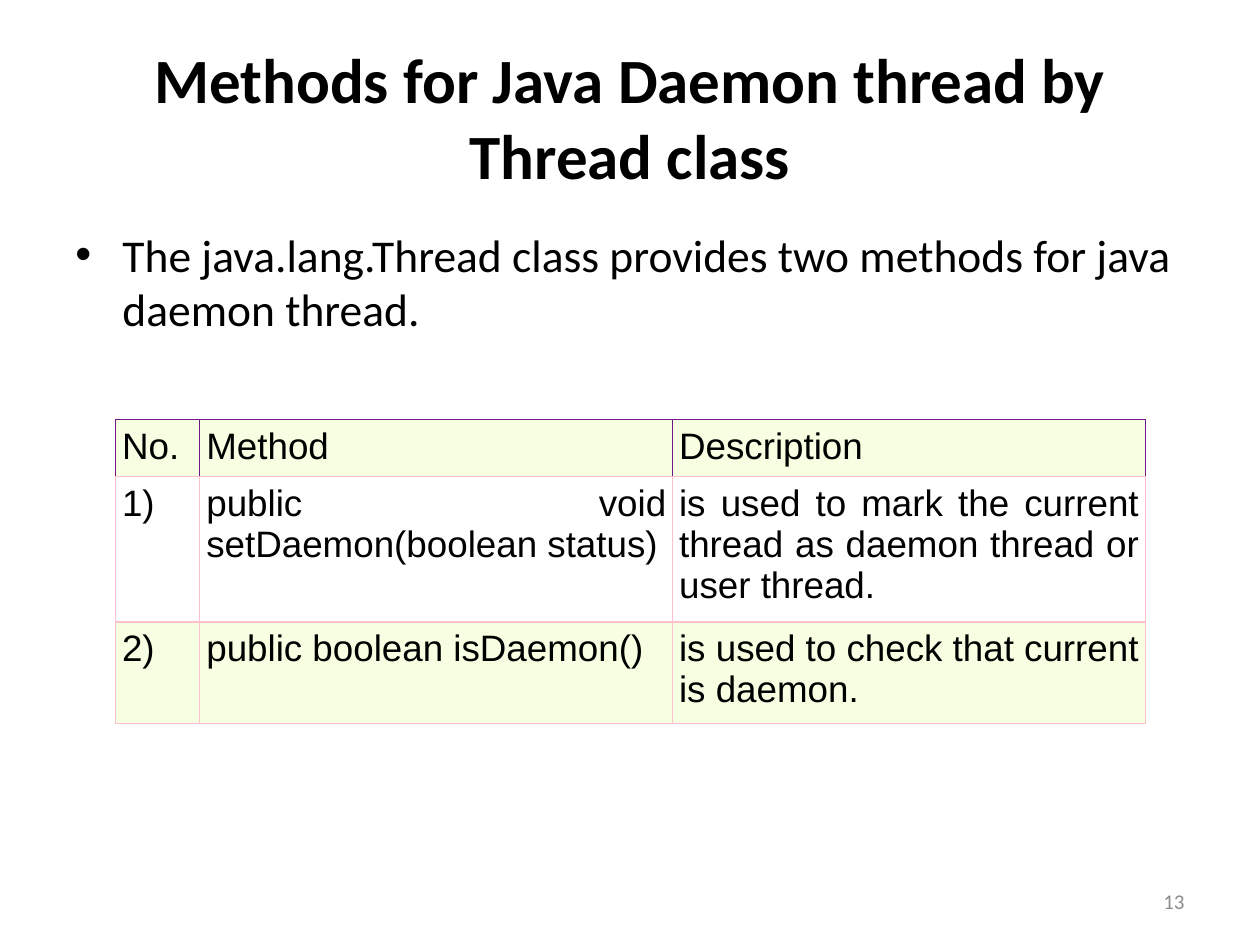
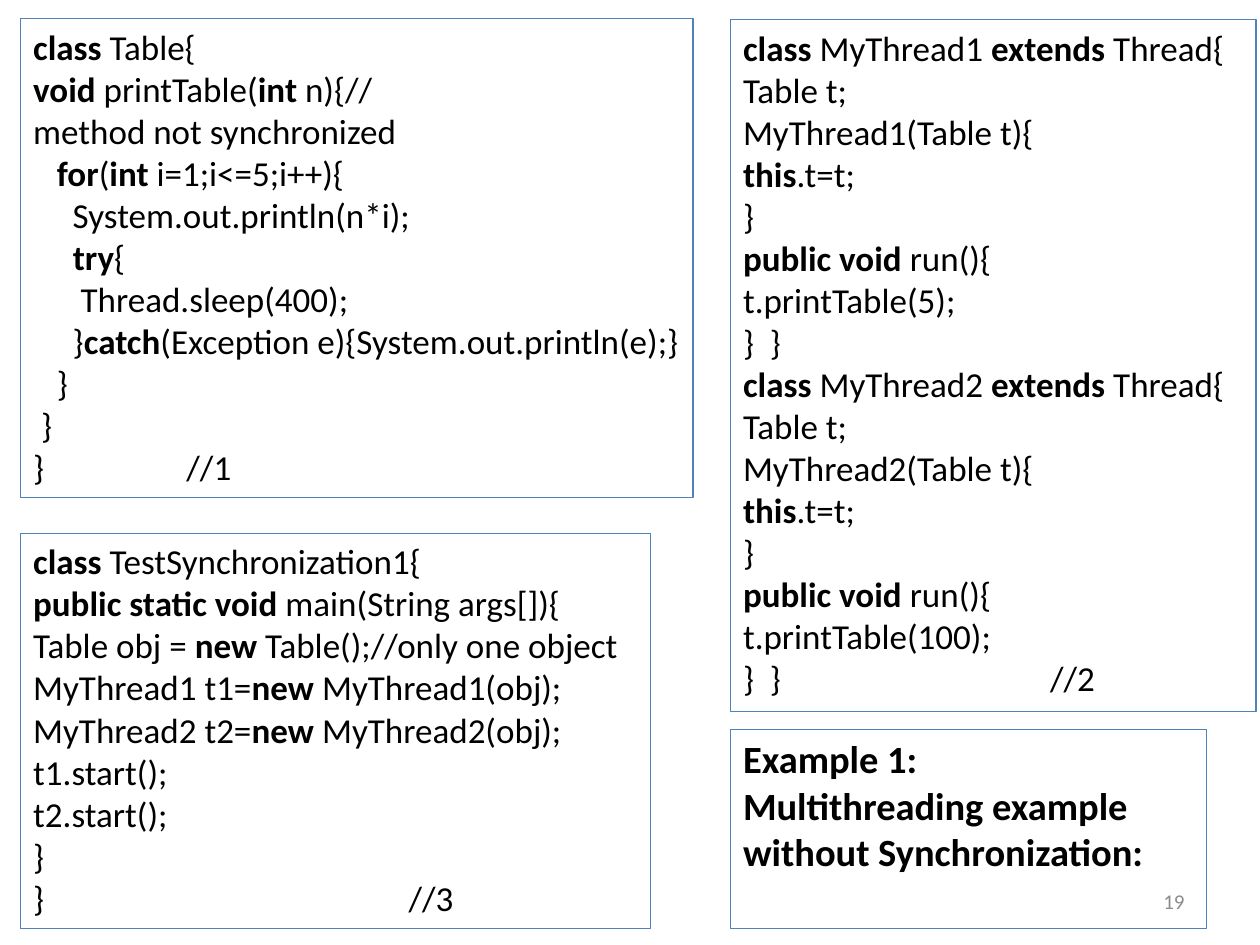
from dataclasses import dataclass, field
from typing import NamedTuple

from lxml.etree import SubElement
from pptx import Presentation
from pptx.dml.color import RGBColor
from pptx.enum.shapes import MSO_SHAPE
from pptx.enum.text import MSO_ANCHOR, PP_ALIGN
from pptx.oxml.ns import qn
from pptx.slide import Slide
from pptx.text.text import TextFrame, _Paragraph
from pptx.util import Cm, Pt


@dataclass(frozen=True)
class Theme:
    font: str = "Calibri"
    table_font: str = "Arial"
    ink: str = "000000"
    number_ink: str = "8C8C8C"
    panel_line: str = "4F81BD"
    header_line: str = "70168B"
    cell_line: str = "FFC0CB"
    tint: str = "F6FFE1"
    paper: str = "FFFFFF"
    title: int = 36
    body: int = 26
    table: int = 21
    caption: int = 22
    code: int = 20
    number: int = 12
    hairline: float = 0.75


class Box(NamedTuple):
    left: float
    top: float
    width: float
    height: float

    def lengths(self) -> tuple[Cm, ...]:
        return tuple(Cm(v) for v in self)


@dataclass(frozen=True)
class CodePanel:
    box: Box
    tab: float
    lines: list[str] = field(default_factory=list)


T = Theme()
NBSP = chr(160)
TITLE_BOX = Box(1.27, 0.76, 22.86, 3.18)
BODY_BOX = Box(1.27, 4.45, 22.86, 12.57)
NUMBER_BOX = Box(18.21, 17.65, 5.92, 1.02)
CAPTION_BOX = Box(14.73, 14.7, 9.6, 4.02)
TABLE_LEFT, TABLE_TOP = 2.33, 8.46
COLUMN_WIDTHS = [1.7, 9.53, 9.53]
ROW_HEIGHTS = [1.1, 2.74, 1.91]
CELL_INSET = Cm(0.13)
BULLET_INDENT = Cm(0.95)

METHODS = [
    ["No.", "Method", "Description"],
    ["1)", "public void setDaemon(boolean status)",
     "is used to mark the current thread as daemon thread or user thread."],
    ["2)", "public boolean isDaemon()", "is used to check that current is daemon."],
]


def thread_class(name: str, argument: int) -> list[str]:
    return [
        f"|class| {name} |extends| Thread{{",
        "Table t;",
        f"{name}(Table t){{",
        "|this|.t=t;",
        "}",
        "|public void| run(){",
        f"t.printTable({argument});",
        "}  }",
    ]


PANELS = [
    CodePanel(Box(14.73, 0.4, 10.59, 13.94), 6.19, [
        *thread_class("MyThread1", 5),
        *thread_class("MyThread2", 100)[:-1],
        "}  }\t//2",
    ]),
    CodePanel(Box(0.42, 10.76, 12.7, 7.96), 7.57, [
        "|class| TestSynchronization1{",
        "|public static void| main(String args[]){",
        "Table obj = |new| Table();//only one object",
        "MyThread1 t1=|new| MyThread1(obj);",
        "MyThread2 t2=|new| MyThread2(obj);",
        "t1.start();",
        "t2.start();",
        "}",
        "}\t//3",
    ]),
    CodePanel(Box(0.42, 0.38, 13.55, 9.65), 3.09, [
        "|class| Table{",
        "|void| printTable(|int| n){//method not synchronized",
        "   |for|(|int| i=1;i<=5;i++){",
        "     System.out.println(n*i);",
        "     |try|{",
        "      Thread.sleep(400);",
        "     }|catch|(Exception e){System.out.println(e);}",
        "   }",
        " }",
        "}\t//1",
    ]),
]


def add_run(p: _Paragraph, text: str, size: int, bold: bool = False,
            color: str = T.ink, font: str = T.font) -> None:
    r = p.add_run()
    r.text = text
    r.font.size = Pt(size)
    r.font.bold = bold
    r.font.name = font
    r.font.color.rgb = RGBColor.from_string(color)


def add_text(s: Slide, box: Box, text: str, size: int, bold: bool = False,
             color: str = T.ink, align: PP_ALIGN = PP_ALIGN.LEFT,
             anchor: MSO_ANCHOR = MSO_ANCHOR.MIDDLE) -> _Paragraph:
    tf = s.shapes.add_textbox(*box.lengths()).text_frame
    tf.word_wrap = True
    tf.vertical_anchor = anchor
    p = tf.paragraphs[0]
    p.alignment = align
    add_run(p, text, size, bold, color)
    return p


def add_slide_number(s: Slide, number: int) -> None:
    add_text(s, NUMBER_BOX, str(number), T.number, color=T.number_ink, align=PP_ALIGN.RIGHT)


def add_bullet(p: _Paragraph) -> None:
    pPr = p._p.get_or_add_pPr()
    pPr.set("marL", str(BULLET_INDENT))
    pPr.set("indent", str(-BULLET_INDENT))
    SubElement(pPr, qn("a:buFont"), typeface="Arial")
    SubElement(pPr, qn("a:buChar"), char="•")


def add_tab_stop(p: _Paragraph, position: float) -> None:
    tabs = SubElement(p._p.get_or_add_pPr(), qn("a:tabLst"))
    SubElement(tabs, qn("a:tab"), pos=str(Cm(position)), algn="l")


def add_panel(s: Slide, box: Box) -> TextFrame:
    sp = s.shapes.add_shape(MSO_SHAPE.RECTANGLE, *box.lengths())
    sp.shadow.inherit = False
    sp.fill.background()
    sp.line.color.rgb = RGBColor.from_string(T.panel_line)
    sp.line.width = Pt(T.hairline)
    tf = sp.text_frame
    tf.word_wrap = True
    tf.vertical_anchor = MSO_ANCHOR.TOP
    return tf


def next_paragraph(tf: TextFrame, index: int) -> _Paragraph:
    p = tf.add_paragraph() if index else tf.paragraphs[0]
    p.alignment = PP_ALIGN.LEFT
    return p


def add_code_panel(s: Slide, panel: CodePanel) -> None:
    tf = add_panel(s, panel.box)
    for i, line in enumerate(panel.lines):
        p = next_paragraph(tf, i)
        if "\t" in line:
            add_tab_stop(p, panel.tab)
        for j, part in enumerate(line.replace(" ", NBSP).split("|")):
            if part:
                add_run(p, part, T.code, bold=j % 2 == 1)


def add_caption(s: Slide, lines: list[str]) -> None:
    tf = add_panel(s, CAPTION_BOX)
    for i, line in enumerate(lines):
        add_run(next_paragraph(tf, i), line, T.caption, bold=True)


def set_borders(tcPr, is_header: bool) -> None:
    for side in "LRTB":
        color = T.header_line if is_header and side != "B" else T.cell_line
        ln = SubElement(tcPr, qn(f"a:ln{side}"), w=str(Pt(T.hairline)))
        SubElement(SubElement(ln, qn("a:solidFill")), qn("a:srgbClr"), val=color)


def add_methods_table(s: Slide) -> None:
    box = Box(TABLE_LEFT, TABLE_TOP, sum(COLUMN_WIDTHS), sum(ROW_HEIGHTS))
    table = s.shapes.add_table(len(METHODS), len(COLUMN_WIDTHS), *box.lengths()).table
    table.first_row = table.horz_banding = False
    for column, width in zip(table.columns, COLUMN_WIDTHS):
        column.width = Cm(width)
    for i, (row, height) in enumerate(zip(table.rows, ROW_HEIGHTS)):
        row.height = Cm(height)
        for cell, text in zip(row.cells, METHODS[i]):
            cell.margin_left = cell.margin_right = CELL_INSET
            cell.margin_top = cell.margin_bottom = CELL_INSET
            set_borders(cell._tc.get_or_add_tcPr(), i == 0)
            cell.fill.solid()
            cell.fill.fore_color.rgb = RGBColor.from_string(T.paper if i % 2 else T.tint)
            p = cell.text_frame.paragraphs[0]
            p.alignment = PP_ALIGN.JUSTIFY if i else PP_ALIGN.LEFT
            add_run(p, text, T.table, font=T.table_font)


def build_methods_slide(s: Slide) -> None:
    add_text(s, TITLE_BOX, "Methods for Java Daemon thread by Thread class",
             T.title, bold=True, align=PP_ALIGN.CENTER)
    add_bullet(add_text(
        s, BODY_BOX, "The java.lang.Thread class provides two methods for java daemon thread.",
        T.body, anchor=MSO_ANCHOR.TOP))
    add_methods_table(s)
    add_slide_number(s, 13)


def build_example_slide(s: Slide) -> None:
    add_slide_number(s, 19)
    for panel in PANELS:
        add_code_panel(s, panel)
    add_caption(s, ["Example 1:", "Multithreading example without Synchronization:"])


def main() -> None:
    prs = Presentation()
    prs.slide_width, prs.slide_height = Cm(25.4), Cm(19.05)
    for build in (build_methods_slide, build_example_slide):
        build(prs.slides.add_slide(prs.slide_layouts[6]))
    prs.save("out.pptx")


if __name__ == "__main__":
    main()
